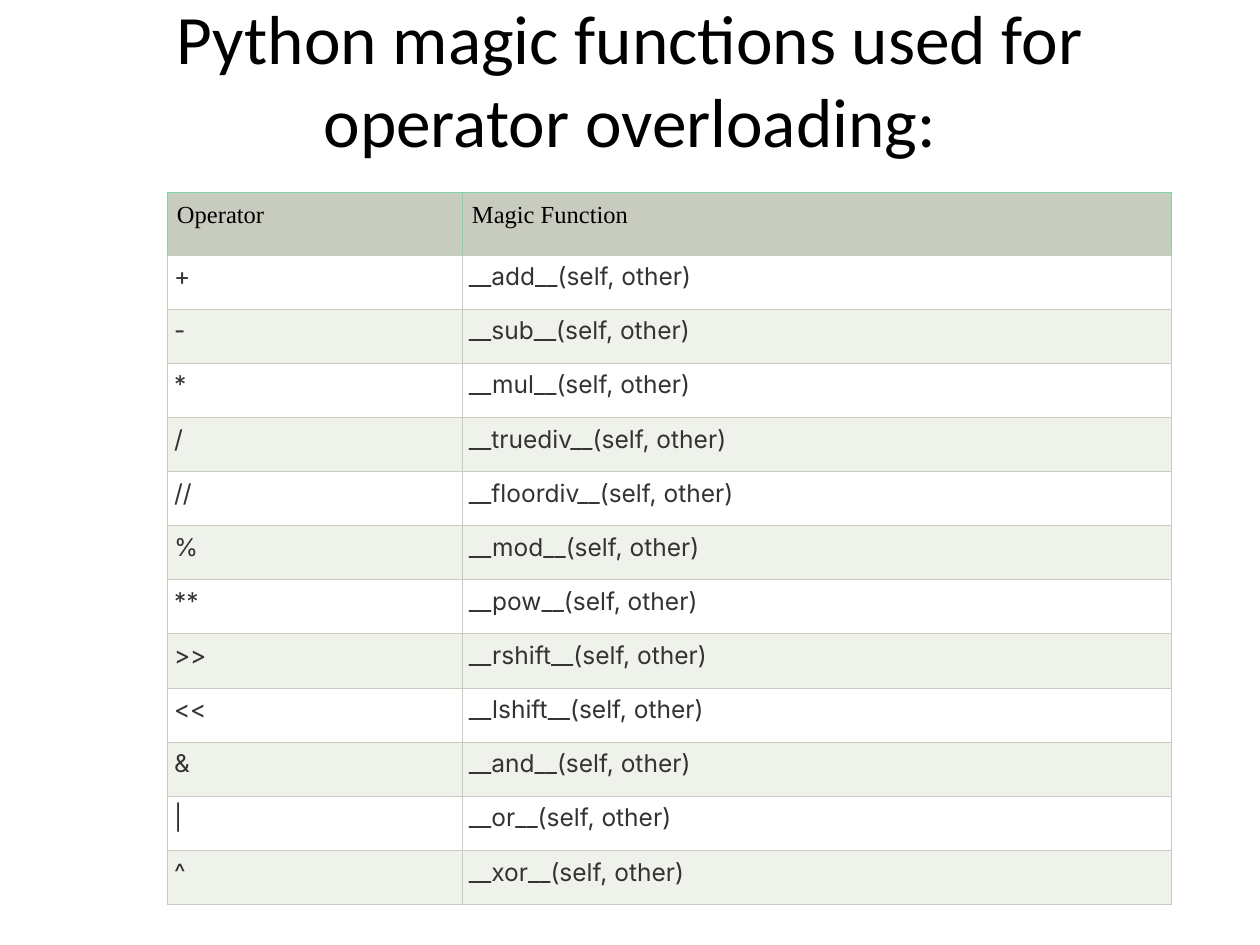
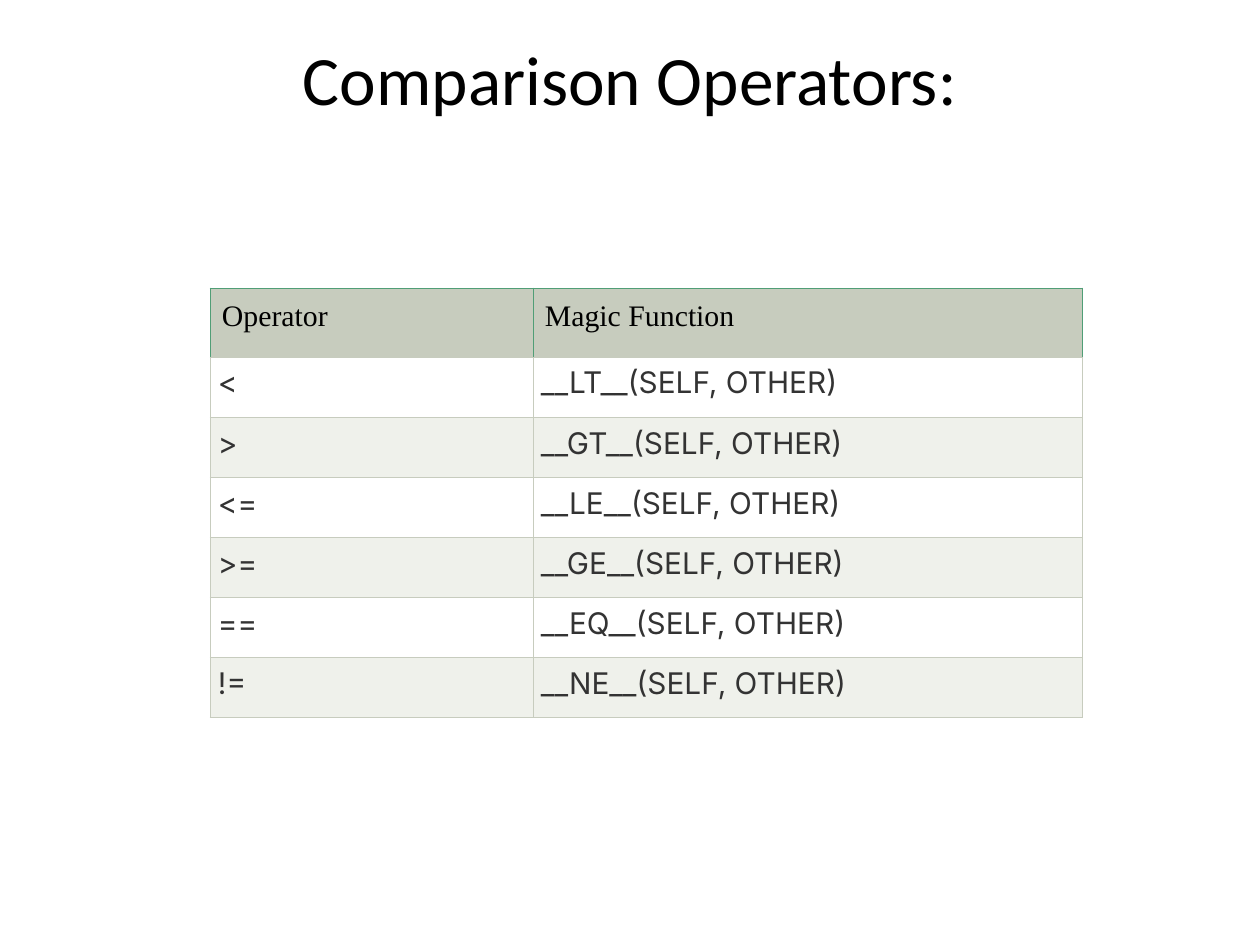
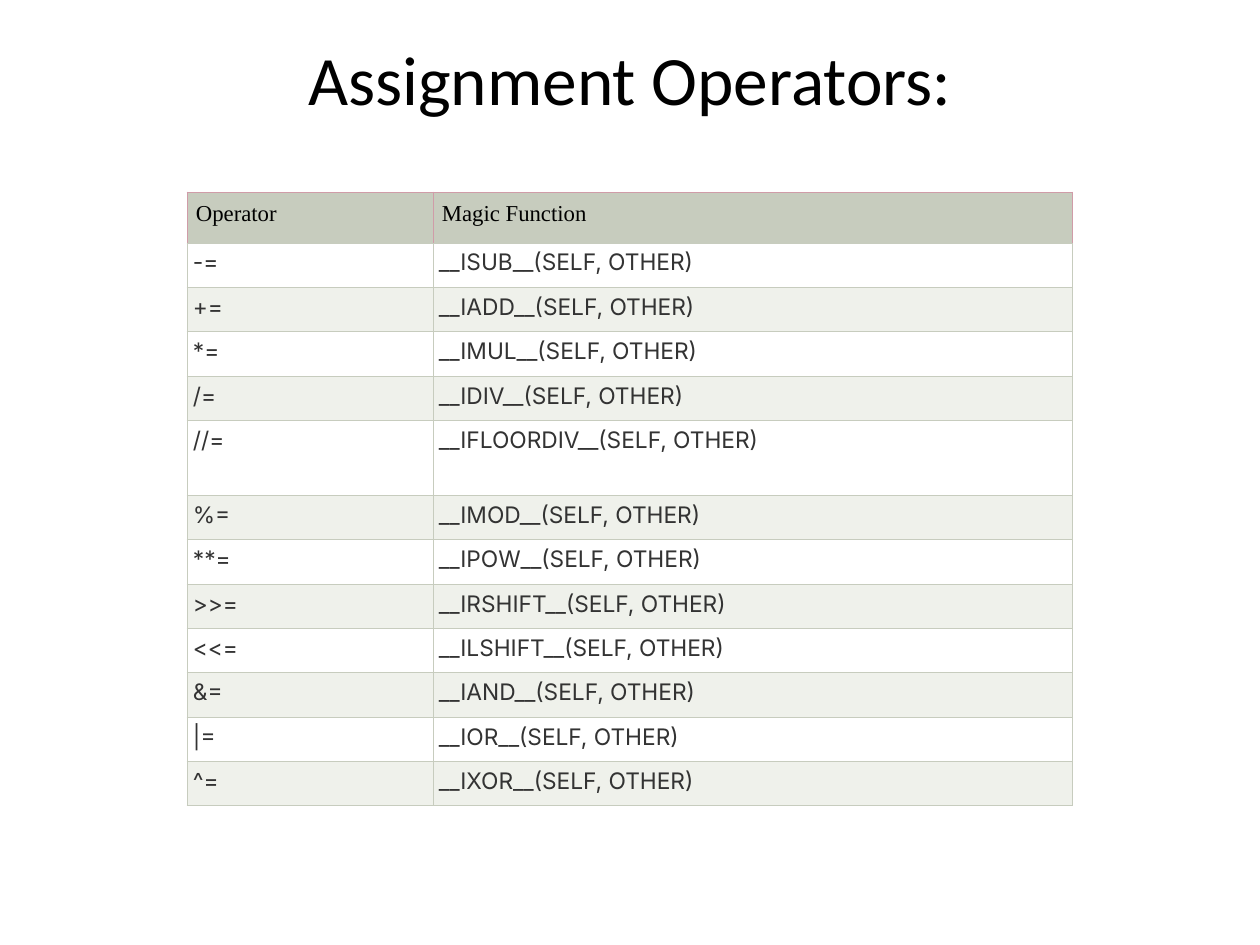
from pptx import Presentation, util as u
from pptx.dml.color import RGBColor
from pptx.enum import text
from pptx.oxml import parse_xml
from pptx.oxml.ns import nsdecls

PX = u.Inches(1) / 126
BLACK, INK, WHITE = "000000", "333333", "FFFFFF"
HEADER, BAND = "C7CCBE", "EFF1EB"
TITLE_BOX = (63, 38, 1134, 157)
HEADINGS = ("Operator", "Magic Function")

ARITHMETIC = [
    ("+", "add"), ("-", "sub"), ("*", "mul"), ("/", "truediv"),
    ("//", "floordiv"), ("%", "mod"), ("**", "pow"), (">>", "rshift"),
    ("<<", "lshift"), ("&", "and"), ("|", "or"), ("^", "xor"),
]
COMPARISON = [
    ("<", "LT"), (">", "GT"), ("<=", "LE"),
    (">=", "GE"), ("==", "EQ"), ("!=", "NE"),
]
ASSIGNMENT = [
    ("-=", "ISUB"), ("+=", "IADD"), ("*=", "IMUL"), ("/=", "IDIV"),
    ("//=", "IFLOORDIV"), ("%=", "IMOD"), ("**=", "IPOW"), (">>=", "IRSHIFT"),
    ("<<=", "ILSHIFT"), ("&=", "IAND"), ("|=", "IOR"), ("^=", "IXOR"),
]


def px(n):
    return u.Emu(round(n * PX))


def color(value):
    return RGBColor.from_string(value)


def add_run(p, words, font, size, ink):
    r = p.add_run()
    r.text = words
    r.font.name = font
    r.font.size = u.Pt(size)
    r.font.color.rgb = color(ink)


def add_title(s, box, words):
    tf = s.shapes.add_textbox(*map(px, box)).text_frame
    tf.word_wrap = True
    tf.vertical_anchor = text.MSO_ANCHOR.MIDDLE
    tf.margin_top, tf.margin_bottom = px(6), px(83)
    p = tf.paragraphs[0]
    p.alignment = text.PP_ALIGN.CENTER
    add_run(p, words, "Calibri", 39.6, BLACK)


def set_borders(cell, edge):
    tc_pr = cell._tc.get_or_add_tcPr()
    for side, line in zip("LRTB", (edge, edge, edge, HEADER)):
        tc_pr.append(parse_xml(
            f'<a:ln{side} {nsdecls("a")} w="{u.Pt(0.6)}"><a:solidFill>'
            f'<a:srgbClr val="{line}"/></a:solidFill></a:ln{side}>'))


def fill_cell(cell, words, font, size, ink, fill, edge, inset, align):
    set_borders(cell, edge)
    cell.fill.solid()
    cell.fill.fore_color.rgb = color(fill)
    cell.margin_left = cell.margin_right = px(inset)
    cell.margin_top = cell.margin_bottom = px(inset)
    p = cell.text_frame.paragraphs[0]
    p.alignment = align
    add_run(p, words, font, size, ink)


def add_operator_table(s, box, operators, operator_w, header_h, size, edge,
                       insets, call="(self, other)", tall=None):
    x, y, w, h = box
    tall = tall or {}
    row_h = (h - header_h - sum(tall.values())) / (len(operators) - len(tall))
    table = s.shapes.add_table(len(operators) + 1, 2, *map(px, box)).table
    for column, width in zip(table.columns, (operator_w, w - operator_w)):
        column.width = px(width)
    table.rows[0].height = px(header_h)
    for cell, words in zip(table.rows[0].cells, HEADINGS):
        fill_cell(cell, words, "Times New Roman", size, BLACK, HEADER, edge,
                  insets[0], text.PP_ALIGN.LEFT)
    for i, (operator, name) in enumerate(operators, 1):
        row = table.rows[i]
        row.height = px(tall.get(operator, row_h))
        for cell, words in zip(row.cells, (operator, f"__{name}__{call}")):
            fill_cell(cell, words, "Inter", size, INK, WHITE if i % 2 else BAND,
                      HEADER, insets[1], text.PP_ALIGN.JUSTIFY)


def add_operator_slide(prs, title, box, operators, **style):
    s = prs.slides.add_slide(prs.slide_layouts[6])
    add_title(s, TITLE_BOX, title)
    add_operator_table(s, box, operators, **style)


def main():
    prs = Presentation()
    prs.slide_width, prs.slide_height = px(1260), px(945)
    add_operator_slide(
        prs, "Python magic functions used for operator overloading:",
        (167, 192, 1004, 713), ARITHMETIC, operator_w=295, header_h=63,
        size=14, edge="80D5A5", insets=(10, 7))
    add_operator_slide(
        prs, "Comparison Operators:",
        (210, 288, 872, 430), COMPARISON, operator_w=323, header_h=69,
        size=17, edge="509E76", insets=(12, 8), call="(SELF, OTHER)")
    add_operator_slide(
        prs, "Assignment Operators:",
        (187, 192, 885, 614), ASSIGNMENT, operator_w=246, header_h=51,
        size=13, edge="D09CA8", insets=(9, 6), call="(SELF, OTHER)",
        tall={"//=": 75})
    prs.save("out.pptx")


if __name__ == "__main__":
    main()
